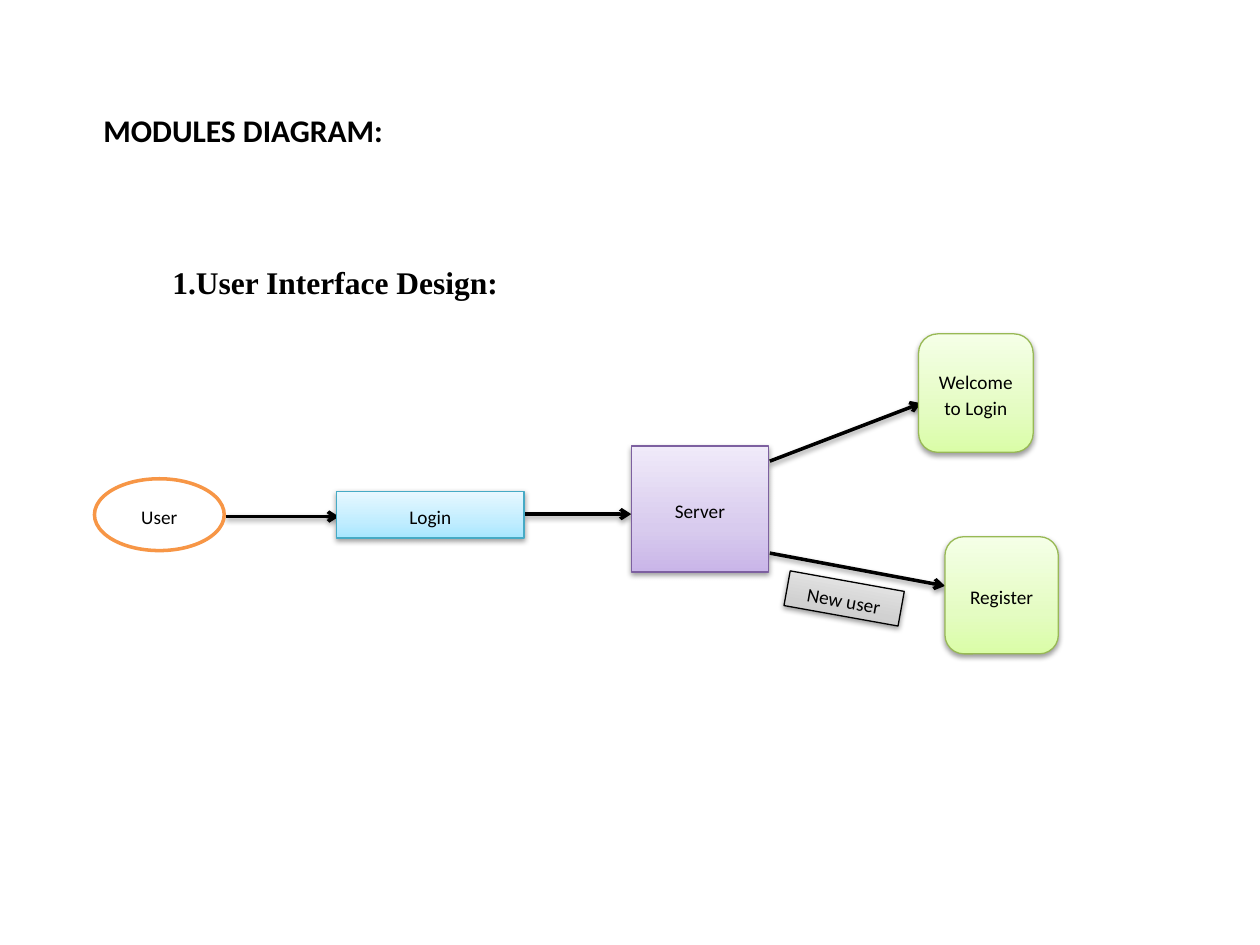
"""Draw the user interface design modules slide."""
from dataclasses import dataclass
from typing import Any

from pptx import Presentation
from pptx.dml.color import RGBColor
from pptx.enum.shapes import MSO_CONNECTOR, MSO_SHAPE
from pptx.enum.text import MSO_ANCHOR, MSO_AUTO_SIZE, PP_ALIGN
from pptx.oxml import parse_xml
from pptx.oxml.ns import nsdecls
from pptx.util import Pt

SCALE = 9144
NS = nsdecls("a")
BLACK = "000000"
BLUE = ("A7E6FF", "C1EDFF", "E7F8FF")
PLUM = ("C9B5E8", "D8CBEE", "F0EAF9")
LIME = ("DAFDA7", "E4FCC2", "F5FFE7")
GREY = ("BDBDBD", "D1D1D1", "EEEEEE")
STOPS = (0, 35000, 100000)


@dataclass
class Node:
    text: str
    kind: MSO_SHAPE
    box: tuple[int, int, int, int]
    edge: str
    fade: tuple[str, ...] = ()
    width: float = 0.75
    turn: float = 0


@dataclass
class Arrow:
    start: tuple[int, int]
    end: tuple[int, int]


NODES = [
    Node("Login", MSO_SHAPE.RECTANGLE, (267, 390, 149, 37), "46AAC5", BLUE),
    Node("User", MSO_SHAPE.OVAL, (75, 380, 103, 57), "F79646", width=2),
    Node("Server", MSO_SHAPE.RECTANGLE, (501, 354, 109, 100), "7D60A0", PLUM),
    Node("Welcome to Login", MSO_SHAPE.FLOWCHART_ALTERNATE_PROCESS,
         (729, 265, 91, 94), "98B955", LIME),
    Node("Register", MSO_SHAPE.ROUNDED_RECTANGLE, (750, 426, 90, 93), "98B955", LIME),
    Node("New user", MSO_SHAPE.RECTANGLE, (624, 461, 92, 28), BLACK, GREY, turn=10.2),
]
ARROWS = [
    Arrow((179, 410), (269, 410)),
    Arrow((417, 408), (501, 408)),
    Arrow((611, 439), (750, 465)),
    Arrow((611, 366), (731, 320)),
]


def px(*sizes: int) -> list[int]:
    return [size * SCALE for size in sizes]


def color(code: str) -> RGBColor:
    return RGBColor.from_string(code)


def put(item: Any, style: dict[str, Any]) -> None:
    for name, value in style.items():
        setattr(item, name, value)


def shade(item: Any) -> None:
    item._element.spPr.append(parse_xml(
        f'<a:effectLst {NS}><a:outerShdw blurRad="40000" dist="20000" dir="5400000" '
        f'rotWithShape="0"><a:srgbClr val="{BLACK}"><a:alpha val="38000"/></a:srgbClr>'
        '</a:outerShdw></a:effectLst>'))


def blend(item: Any, fade: tuple[str, ...]) -> None:
    stops = "".join(f'<a:gs pos="{pos}"><a:srgbClr val="{code}"/></a:gs>'
                    for pos, code in zip(STOPS, fade))
    item._element.spPr.append(parse_xml(
        f'<a:gradFill {NS} rotWithShape="1"><a:gsLst>{stops}</a:gsLst>'
        '<a:lin ang="16200000" scaled="0"/></a:gradFill>'))


def write(item: Any, text: str, frame: dict[str, Any], para: dict[str, Any],
          font: dict[str, Any]) -> None:
    put(item.text_frame, frame)
    line = item.text_frame.paragraphs[0]
    put(line, para)
    run = line.add_run()
    run.text = text
    put(run.font, font)
    run.font.color.rgb = color(BLACK)


def draw_node(slide: Any, node: Node) -> None:
    item = slide.shapes.add_shape(node.kind, *px(*node.box))
    item.rotation = node.turn
    if node.fade:
        blend(item, node.fade)
    else:
        item.fill.solid()
        item.fill.fore_color.rgb = color("FFFFFF")
    item.line.color.rgb = color(node.edge)
    item.line.width = Pt(node.width)
    if node.fade:
        shade(item)
    else:
        item.shadow.inherit = False
    write(item, node.text,
          {"word_wrap": True, "vertical_anchor": MSO_ANCHOR.MIDDLE},
          {"alignment": PP_ALIGN.CENTER, "line_spacing": 1.15, "space_after": Pt(10)},
          {"name": "Calibri", "size": Pt(11)})


def draw_arrow(slide: Any, arrow: Arrow) -> None:
    item = slide.shapes.add_connector(
        MSO_CONNECTOR.STRAIGHT, *px(*arrow.start, *arrow.end))
    item.line.color.rgb = color(BLACK)
    item.line.width = Pt(2)
    item.line._get_or_add_ln().append(parse_xml(f'<a:tailEnd {NS} type="arrow"/>'))
    shade(item)


def draw_heads(slide: Any) -> None:
    title = slide.shapes.title
    put(title, dict(zip(("left", "top", "width", "height"), px(72, 83, 244, 40))))
    write(title, "MODULES DIAGRAM:",
          {"word_wrap": False, "vertical_anchor": MSO_ANCHOR.TOP,
           "auto_size": MSO_AUTO_SIZE.SHAPE_TO_FIT_TEXT},
          {"alignment": PP_ALIGN.LEFT},
          {"name": "Calibri", "size": Pt(18), "bold": True})
    head = slide.shapes.add_textbox(*px(127, 183, 307, 61))
    write(head, "1.User Interface Design:",
          {"word_wrap": True, "vertical_anchor": MSO_ANCHOR.BOTTOM},
          {"alignment": PP_ALIGN.JUSTIFY},
          {"name": "Times New Roman", "size": Pt(18), "bold": True})


def main() -> None:
    deck = Presentation()
    put(deck, dict(zip(("slide_width", "slide_height"), px(1000, 750))))
    slide = deck.slides.add_slide(deck.slide_layouts[5])
    draw_heads(slide)
    for arrow in ARROWS:
        draw_arrow(slide, arrow)
    for node in NODES:
        draw_node(slide, node)
    deck.save("out.pptx")


if __name__ == "__main__":
    main()
